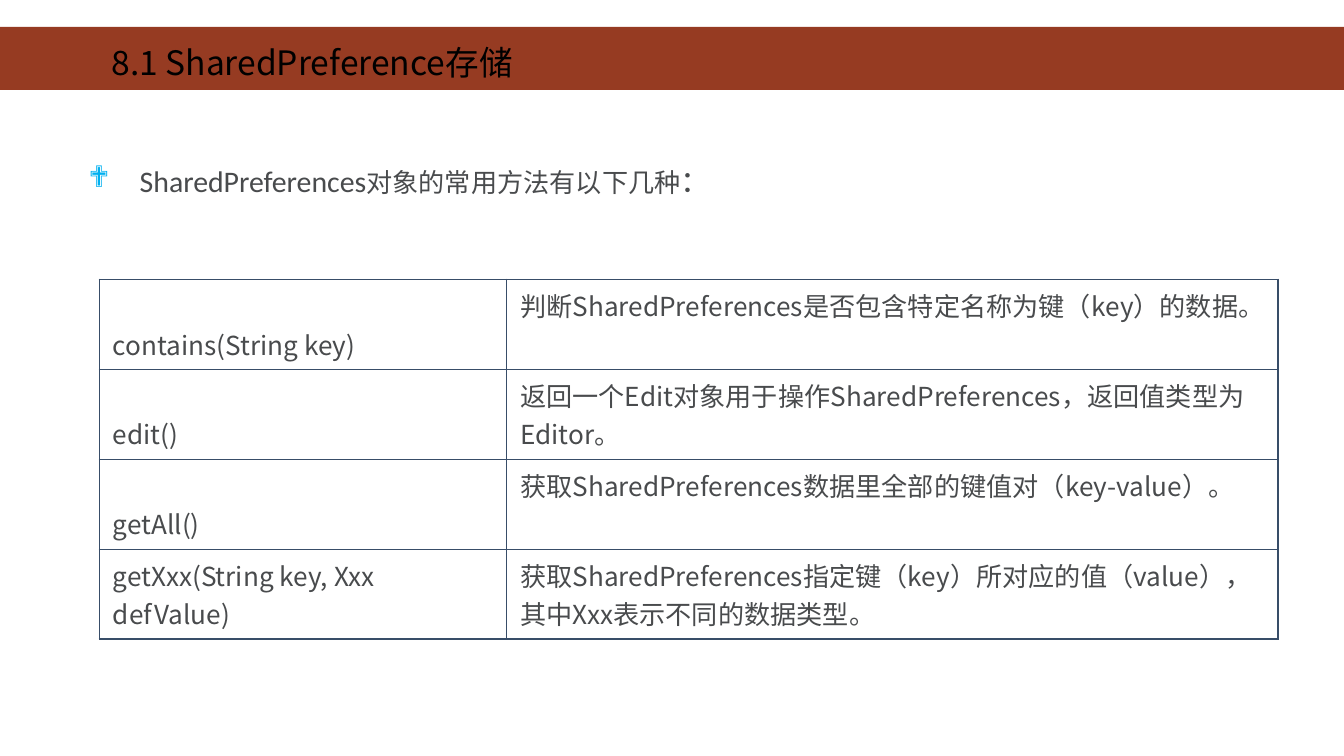
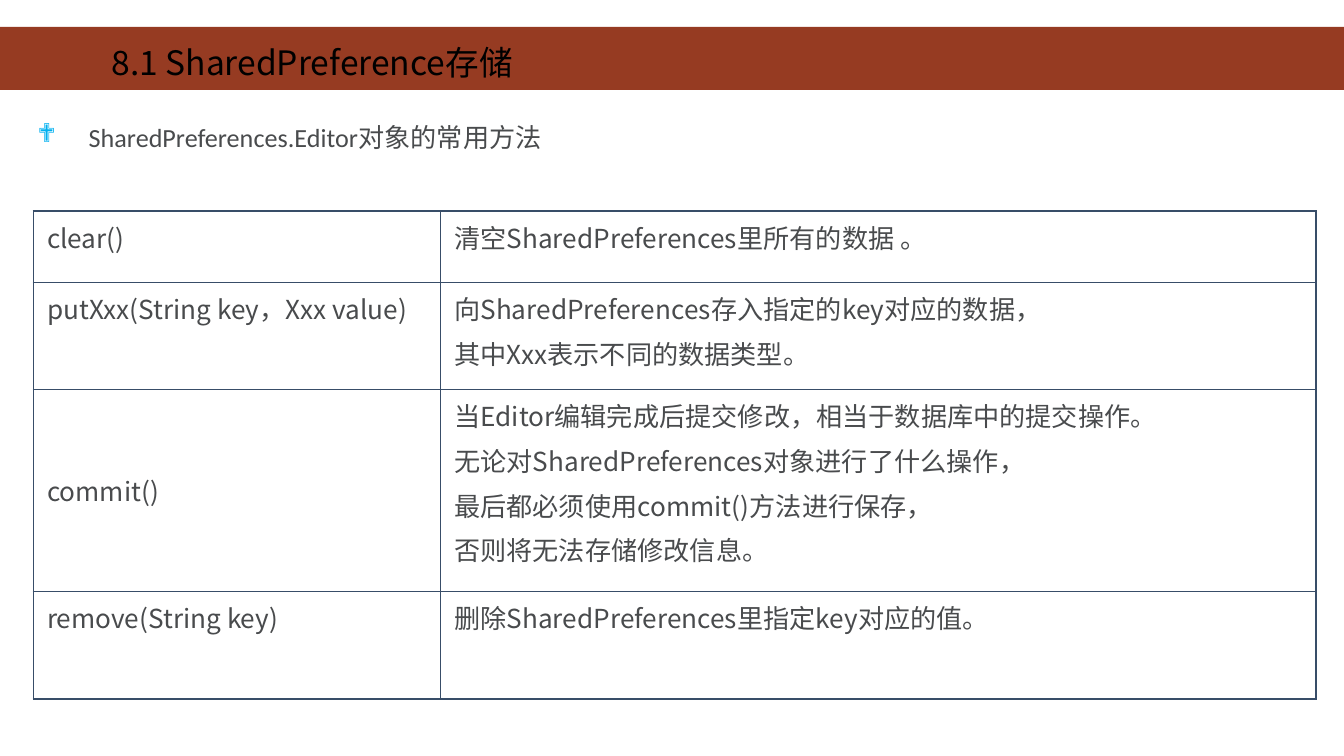
from lxml.etree import SubElement
from pptx import Presentation
from pptx.dml.color import RGBColor
from pptx.enum.shapes import MSO_SHAPE
from pptx.enum.text import MSO_ANCHOR as Anchor, MSO_AUTO_SIZE as AutoSize, PP_ALIGN as Align
from pptx.oxml.ns import qn
from pptx.util import Inches, Pt

BRICK = RGBColor(0x96, 0x3B, 0x22)
SKY = RGBColor(0x00, 0xB0, 0xF0)
SLATE = RGBColor(0x49, 0x4B, 0x4D)
NAVY = RGBColor(0x38, 0x4D, 0x68)
BLACK = RGBColor(0, 0, 0)

HAN = "Noto Sans CJK SC"
LATIN = "Calibri"
SECTION = "8.1 SharedPreference存储"
OUTER, INNER = 1.08, 0.45
METHOD_WIDTH = 3.03

READ_METHODS = [
    ("contains(String key)", ["判断SharedPreferences是否包含特定名称为键（key）的数据。"], Anchor.BOTTOM),
    ("edit()", ["返回一个Edit对象用于操作SharedPreferences，返回值类型为Editor。"], Anchor.BOTTOM),
    ("getAll()", ["获取SharedPreferences数据里全部的键值对（key-value）。"], Anchor.BOTTOM),
    ("getXxx(String key, Xxx defValue)",
     ["获取SharedPreferences指定键（key）所对应的值（value），其中Xxx表示不同的数据类型。"], Anchor.TOP),
]
EDITOR_METHODS = [
    ("clear()", ["清空SharedPreferences里所有的数据 。"], Anchor.TOP),
    ("putXxx(String key，Xxx value)",
     ["向SharedPreferences存入指定的key对应的数据，", "其中Xxx表示不同的数据类型。"], Anchor.TOP),
    ("commit()",
     ["当Editor编辑完成后提交修改，相当于数据库中的提交操作。",
      "无论对SharedPreferences对象进行了什么操作，",
      "最后都必须使用commit()方法进行保存，",
      "否则将无法存储修改信息。"], Anchor.MIDDLE),
    ("remove(String key)", ["删除SharedPreferences里指定key对应的值。"], Anchor.TOP),
]


def add_run(paragraph, text, size, face=HAN, color=SLATE):
    run = paragraph.add_run()
    run.text = text
    run.font.size = Pt(size)
    run.font.name = face
    run.font.color.rgb = color
    SubElement(run.font._element, qn("a:ea")).set("typeface", face)


def place(placeholder, left, top, width, height):
    placeholder.left, placeholder.top = Inches(left), Inches(top)
    placeholder.width, placeholder.height = Inches(width), Inches(height)
    placeholder.text_frame.vertical_anchor = Anchor.TOP
    return placeholder.text_frame


def add_band(slide):
    band = slide.shapes.add_shape(MSO_SHAPE.RECTANGLE, 0, Inches(0.2), Inches(10), Inches(0.47))
    band.shadow.inherit = False
    band.fill.solid()
    band.fill.fore_color.rgb = BRICK
    band.line.fill.background()
    slide.shapes._spTree.insert(2, band._element)


def add_section_slide(prs):
    slide = prs.slides.add_slide(prs.slide_layouts[1])
    add_band(slide)
    frame = place(slide.shapes.title, 0.73, 0.26, 3.29, 0.4)
    frame.word_wrap = False
    frame.auto_size = AutoSize.SHAPE_TO_FIT_TEXT
    heading = frame.paragraphs[0]
    heading.alignment = Align.LEFT
    add_run(heading, SECTION, 18, color=BLACK)
    return slide


def set_lead(slide, box, runs):
    frame = place(slide.placeholders[1], *box)
    frame.word_wrap = True
    frame.auto_size = AutoSize.NONE
    lead = frame.paragraphs[0]
    props = lead._p.get_or_add_pPr()
    props.set("marL", str(Inches(0.38)))
    props.set("indent", str(-Inches(0.38)))
    bullet_color = SubElement(props, qn("a:buClr"))
    SubElement(bullet_color, qn("a:srgbClr")).set("val", str(SKY))
    SubElement(props, qn("a:buFont")).set("typeface", "Wingdings")
    SubElement(props, qn("a:buChar")).set("char", "❖")
    lead.space_before = Pt(0)
    for text, size, face in runs:
        add_run(lead, text, size, face)


def set_borders(cell, edges):
    props = cell._tc.get_or_add_tcPr()
    for position, (side, weight) in enumerate(edges.items()):
        border = SubElement(props, qn(f"a:ln{side}"), w=str(Pt(weight)))
        fill = SubElement(border, qn("a:solidFill"))
        SubElement(fill, qn("a:srgbClr")).set("val", str(NAVY))
        props.insert(position, border)


def fill_cell(cell, lines, anchor=Anchor.TOP):
    cell.fill.background()
    cell.vertical_anchor = anchor
    frame = cell.text_frame
    for index, line in enumerate(lines):
        paragraph = frame.add_paragraph() if index else frame.paragraphs[0]
        if index:
            paragraph.space_before = Pt(3.5)
        add_run(paragraph, line, 14)


def add_method_table(slide, left, top, note_width, heights, methods):
    table = slide.shapes.add_table(
        len(methods), 2, Inches(left), Inches(top),
        Inches(METHOD_WIDTH + note_width), Inches(sum(heights))).table
    table.first_row = table.horz_banding = False
    table.columns[0].width = Inches(METHOD_WIDTH)
    table.columns[1].width = Inches(note_width)
    last = len(methods) - 1
    for row, (height, (method, notes, anchor)) in enumerate(zip(heights, methods)):
        table.rows[row].height = Inches(height)
        fill_cell(table.cell(row, 0), [method], anchor)
        fill_cell(table.cell(row, 1), notes)
        for column in range(2):
            set_borders(table.cell(row, column), {
                "L": INNER if column else OUTER,
                "R": OUTER if column else INNER,
                "T": INNER if row else OUTER,
                "B": OUTER if row == last else INNER,
            })


def main():
    prs = Presentation()
    prs.slide_width = Inches(10)
    prs.slide_height = prs.slide_width * 9 // 16

    reading = add_section_slide(prs)
    set_lead(reading, (0.56, 1.16, 4.99, 0.55), [
        ("SharedPreferences", 16, LATIN),
        ("对象的常用方法有以下几种", 14, HAN),
        ("：", 16, LATIN),
    ])
    add_method_table(reading, 0.74, 2.08, 5.74, [0.67, 0.66, 0.67, 0.66], READ_METHODS)

    editing = add_section_slide(prs)
    set_lead(editing, (0.18, 0.85, 7.01, 0.52), [
        ("SharedPreferences.Editor", 14, LATIN),
        ("对象的常用方法", 14, HAN),
    ])
    add_method_table(editing, 0.25, 1.57, 6.51, [0.53, 0.8, 1.5, 0.8], EDITOR_METHODS)

    prs.save("out.pptx")


if __name__ == "__main__":
    main()
